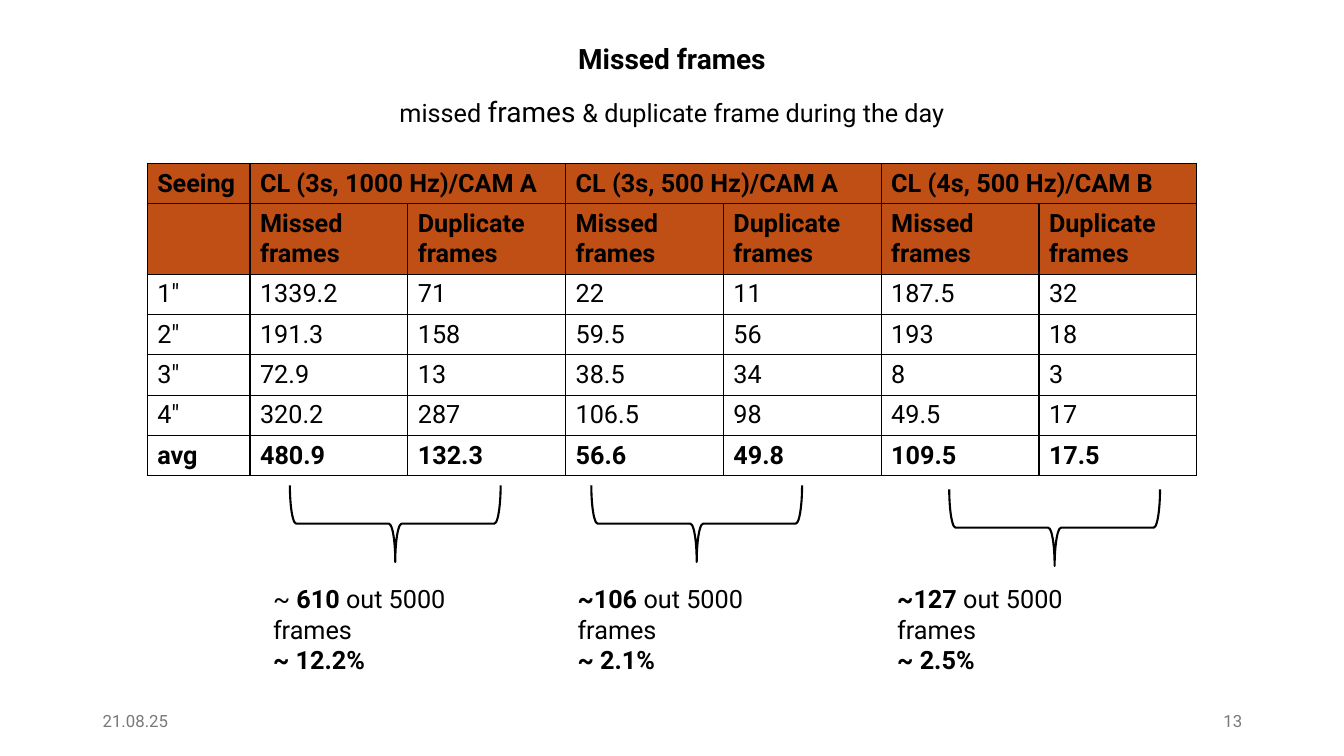
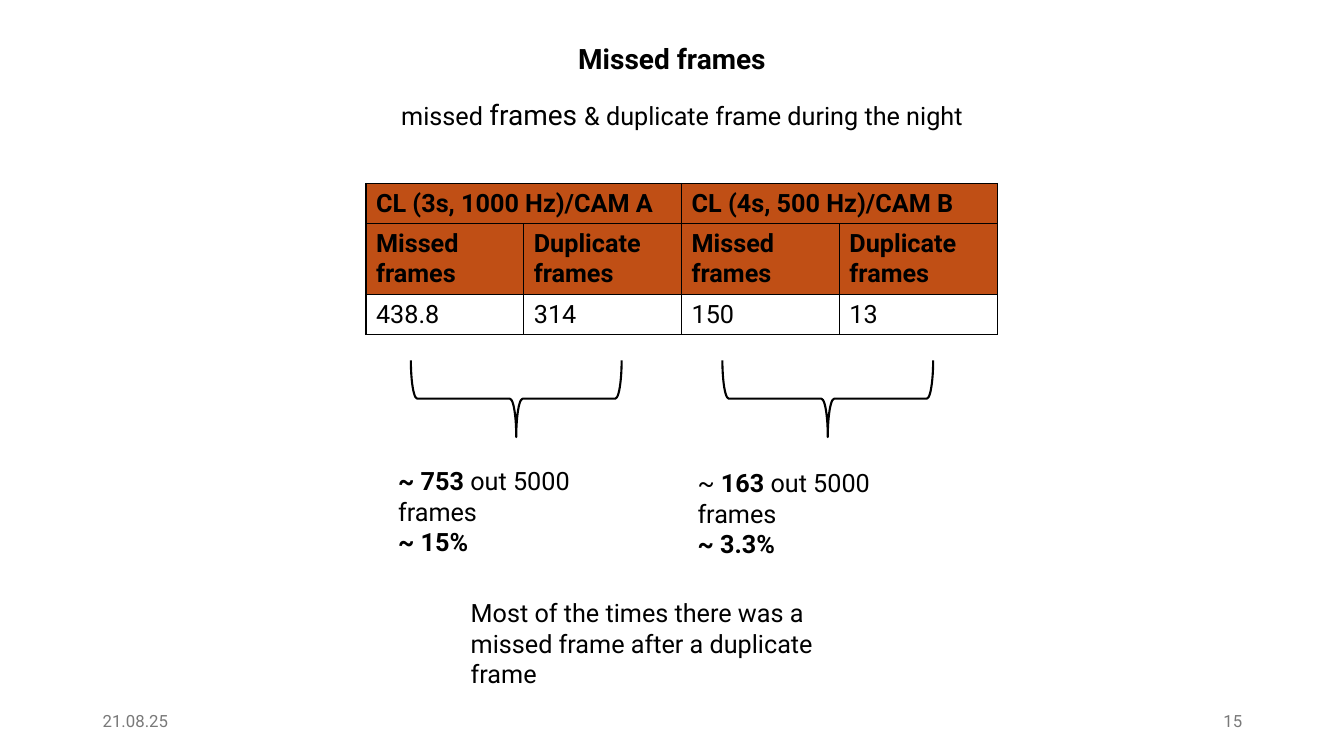
from pptx import Presentation
from pptx.dml.color import RGBColor
from pptx.enum.shapes import MSO_SHAPE
from pptx.enum.text import MSO_ANCHOR, MSO_AUTO_SIZE, PP_ALIGN
from pptx.oxml import parse_xml
from pptx.oxml.ns import nsdecls
from pptx.util import Emu, Pt

PX = 9144  # 100 px to the inch
FONT, BLACK, GREY, RUST = "Roboto", "000000", "797979", "C04F15"
LEFT, MID, RIGHT = PP_ALIGN.LEFT, PP_ALIGN.CENTER, PP_ALIGN.RIGHT
PAIR = 313  # width of one missed/duplicate column pair


def px(n):
    return Emu(round(n * PX))


def hue(code):
    return RGBColor.from_string(code)


class Deck:
    def __init__(self):
        self.prs = Presentation()
        self.prs.slide_width, self.prs.slide_height = px(1333), px(750)
        self.slide = None

    def page(self, title, date, num):
        self.slide = self.prs.slides.add_slide(self.prs.slide_layouts[5])
        head = self.slide.shapes.title
        head.left, head.top, head.width, head.height = map(px, (563, 36, 207, 44))
        self.fill(head.text_frame, [title], 20, MID, bold=True)
        head.text_frame.word_wrap = False
        for x, word, side in ((92, date, LEFT), (942, num, RIGHT)):
            self.text((x, 695, 300, 40), [word], 12, side, GREY, MSO_ANCHOR.MIDDLE)

    def font(self, para, size, color=BLACK, bold=None):
        font = para.font
        font.name, font.size, font.bold = FONT, Pt(size), bold
        font.color.rgb = hue(color)

    def fill(self, frame, lines, size, side=LEFT, color=BLACK, bold=None, big=None):
        """Write lines; parts between bars are bold, or of size big if given."""
        frame.word_wrap, frame.auto_size = True, MSO_AUTO_SIZE.NONE
        frame.vertical_anchor = MSO_ANCHOR.TOP
        for i, line in enumerate(lines):
            para = frame.paragraphs[0] if i == 0 else frame.add_paragraph()
            para.alignment = side
            self.font(para, size, color, bold)
            for j, part in enumerate(line.split("|")):
                if not part:
                    continue
                run = para.add_run()
                run.text = part
                if j % 2 and big:
                    run.font.size = Pt(big)
                elif j % 2:
                    run.font.bold = True

    def text(self, box, lines, size=18, side=LEFT, color=BLACK,
             anchor=MSO_ANCHOR.TOP, big=None):
        frame = self.slide.shapes.add_textbox(*map(px, box)).text_frame
        self.fill(frame, lines, size, side, color, big=big)
        frame.vertical_anchor = anchor

    def brace(self, x, y):
        """Draw a brace that opens upward, placed by its unturned corner."""
        shape = self.slide.shapes.add_shape(
            MSO_SHAPE.LEFT_BRACE, *map(px, (x, y, 76, 209)))
        shape.rotation = 270
        shape.shadow.inherit = False
        shape.fill.background()
        shape.line.color.rgb, shape.line.width = hue(BLACK), Pt(1.5)

    def edge(self, cell):
        props = cell._tc.get_or_add_tcPr()
        for side in "LRTB":
            props.append(parse_xml(
                f'<a:ln{side} {nsdecls("a")} w="12700"><a:solidFill>'
                f'<a:srgbClr val="{BLACK}"/></a:solidFill></a:ln{side}>'))

    def table(self, x, y, rows, lead=0):
        """Add a table with two header rows and, if lead is set, a lead column."""
        cols = len(rows[0])
        first = 1 if lead else 0
        wide = lead + PAIR * (cols - first) // 2
        tall = 40 * len(rows) + 30
        grid = self.slide.shapes.add_table(
            len(rows), cols, *map(px, (x, y, wide, tall))).table
        for i, col in enumerate(grid.columns):
            col.width = px(lead if i < first else PAIR / 2)
        for i, row in enumerate(rows):
            grid.rows[i].height = px(70 if i == 1 else 40)
            for j, word in enumerate(row):
                cell = grid.cell(i, j)
                cell.vertical_anchor = MSO_ANCHOR.MIDDLE
                self.edge(cell)
                if i < 2:
                    cell.fill.solid()
                    cell.fill.fore_color.rgb = hue(RUST)
                else:
                    cell.fill.background()
                para = cell.text_frame.paragraphs[0]
                para.text = word
                self.font(para, 18, bold=i < 2 or row[0] == "avg")
        for j in range(first, cols, 2):
            grid.cell(0, j).merge(grid.cell(0, j + 1))


def main():
    deck = Deck()
    title, date = "Missed frames", "21.08.25"
    kinds = ["Missed frames", "Duplicate frames"]
    fast, slow, four = ("CL (3s, 1000 Hz)/CAM A", "CL (3s, 500 Hz)/CAM A",
                        "CL (4s, 500 Hz)/CAM B")

    deck.page(title, date, "13")
    deck.table(146, 162, [
        ["Seeing", fast, "", slow, "", four, ""],
        [""] + kinds * 3,
        ["1″", "1339.2", "71", "22", "11", "187.5", "32"],
        ["2″", "191.3", "158", "59.5", "56", "193", "18"],
        ["3″", "72.9", "13", "38.5", "34", "8", "3"],
        ["4″", "320.2", "287", "106.5", "98", "49.5", "17"],
        ["avg", "480.9", "132.3", "56.6", "49.8", "109.5", "17.5"],
    ], lead=102)
    deck.text((333, 89, 667, 44),
              ["missed |frames |& duplicate frame during the day"], side=MID, big=20)
    for x, y in ((354, 415), (653, 415), (1008, 419)):
        deck.brace(x, y)
    for x, wide, count, share in (
            (261, 260, "~ |610| out 5000 frames", "|~ 12.2%|"),
            (563, 263, "|~106 |out 5000 frames", "|~ 2.1%|"),
            (880, 255, "|~127 |out 5000 frames", "|~ 2.5%|")):
        deck.text((x, 574, wide, 71), [count, share])

    deck.page(title, date, "15")
    deck.text((343, 92, 667, 44),
              ["missed |frames |& duplicate frame during the night"], side=MID, big=20)
    deck.table(363, 182, [
        [fast, "", four, ""],
        kinds * 2,
        ["438.8", "314", "150", "13"],
    ])
    for x in (474, 783):
        deck.brace(x, 291)
    for x, y, count, share in (
            (385, 457, "|~ 753| out 5000 frames", "|~ 15%|"),
            (682, 459, "~ |163| out 5000 frames", "|~ 3.3%|")):
        deck.text((x, y, 260, 71), [count, share])
    deck.text((457, 588, 418, 71),
              ["Most of the times there was a missed frame after a duplicate frame"])

    deck.prs.save("out.pptx")


if __name__ == "__main__":
    main()
